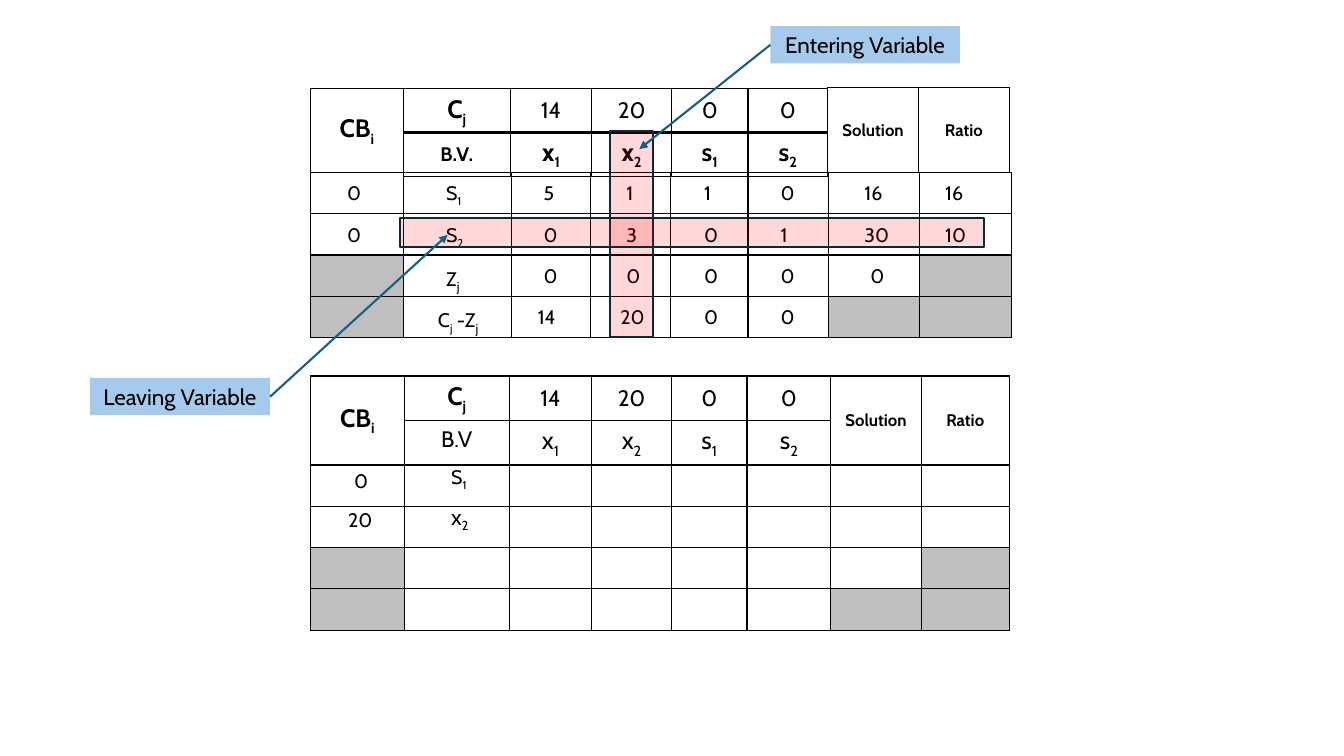
"""Build a slide with two simplex tableaus and their pivot labels."""
from dataclasses import dataclass
from lxml.etree import SubElement
from pptx import Presentation
from pptx.dml.color import RGBColor as Rgb
from pptx.enum.shapes import MSO_CONNECTOR as Line, MSO_SHAPE as Shape
from pptx.enum.text import MSO_ANCHOR as Anchor, PP_ALIGN as Align
from pptx.oxml.ns import qn
from pptx.util import Inches, Pt


@dataclass(frozen=True)
class Theme:
    font: str = "Cabin"
    ink: str = "000000"
    gray: str = "BFBFBF"
    sky: str = "A6CAEC"
    red: str = "FF0000"
    edge: str = "092A39"
    arrow: str = "156082"
    head: int = 18
    mid: int = 16
    body: int = 14
    small: int = 12
    rule: float = 1
    heavy: float = 1.5


@dataclass(frozen=True)
class Cell:
    text: str
    size: int
    bold: bool = False
    anchor: Anchor = Anchor.MIDDLE


class Board:
    def __init__(self, slide, theme):
        self.slide = slide
        self.theme = theme

    def letter(self, frame, text, size, bold=False, align=Align.LEFT, low=None):
        para = frame.paragraphs[0]
        para.alignment = align
        font = para.font
        font.name, font.size, font.bold = self.theme.font, Pt(size), bold
        font.color.rgb = Rgb.from_string(self.theme.ink)
        base, *tails = text.split("_")
        para.add_run().text = base
        for tail in tails:
            sub = para.add_run()
            sub.text = tail[0]
            sub._r.get_or_add_rPr().set("baseline", "-25000")
            if tail[1:]:
                para.add_run().text = tail[1:]
        if low:
            sub.font.size = Pt(low)

    def text(self, left, top, width, text, size, low=None):
        box = self.slide.shapes.add_textbox(
            Inches(left), Inches(top), Inches(width), Inches(0.34))
        box.text_frame.word_wrap = True
        self.letter(box.text_frame, text, size, low=low)

    def value(self, mid, top, text, size, low=None):
        count = len(text.replace("_", ""))
        width = {1: 0.37, 2: 0.49}.get(count, 0.65)
        self.text(mid - width / 2, top, width, text, size, low)

    def border(self, cell):
        props = cell._tc.get_or_add_tcPr()
        for side in ("lnL", "lnR", "lnT", "lnB"):
            line = SubElement(props, qn(f"a:{side}"), w=str(Pt(self.theme.rule)))
            fill = SubElement(line, qn("a:solidFill"))
            SubElement(fill, qn("a:srgbClr"), val=self.theme.ink)

    def table(self, left, top, cols, rows, cells=(), gray=(), spans=()):
        table = self.slide.shapes.add_table(
            len(rows), len(cols), Inches(left), Inches(top),
            Inches(sum(cols)), Inches(sum(rows))).table
        table.first_row = table.horz_banding = False
        for col, width in zip(table.columns, cols):
            col.width = Inches(width)
        for row, height in zip(table.rows, rows):
            row.height = Inches(height)
        for r in range(len(rows)):
            for c in range(len(cols)):
                cell = table.cell(r, c)
                self.border(cell)
                if (r, c) in gray:
                    cell.fill.solid()
                    cell.fill.fore_color.rgb = Rgb.from_string(self.theme.gray)
                else:
                    cell.fill.background()
        for c in spans:
            table.cell(0, c).merge(table.cell(1, c))
        for r, line in enumerate(cells):
            for c, item in enumerate(line):
                if item:
                    cell = table.cell(r, c)
                    cell.vertical_anchor = item.anchor
                    self.letter(cell.text_frame, item.text, item.size,
                                item.bold, Align.CENTER)

    def rect(self, left, top, width, height, color):
        box = self.slide.shapes.add_shape(
            Shape.RECTANGLE, Inches(left), Inches(top), Inches(width), Inches(height))
        box.shadow.inherit = False
        box.fill.solid()
        box.fill.fore_color.rgb = Rgb.from_string(color)
        return box

    def band(self, left, top, width, height):
        box = self.rect(left, top, width, height, self.theme.red)
        color = box._element.spPr.find(".//" + qn("a:srgbClr"))
        SubElement(color, qn("a:alpha"), val="15000")
        box.line.color.rgb = Rgb.from_string(self.theme.edge)
        box.line.width = Pt(self.theme.heavy)

    def label(self, left, top, width, text):
        box = self.rect(left, top, width, 0.37, self.theme.sky)
        box.line.fill.background()
        box.text_frame.word_wrap = True
        self.letter(box.text_frame, text, self.theme.mid, align=Align.CENTER)
        return box

    def arrow(self, box, site, left, top):
        link = self.slide.shapes.add_connector(
            Line.STRAIGHT, 0, 0, Inches(left), Inches(top))
        link.begin_connect(box, site)
        link.line.color.rgb = Rgb.from_string(self.theme.arrow)
        link.line.width = Pt(self.theme.heavy)
        props = link._element.spPr
        SubElement(props.find(qn("a:ln")), qn("a:tailEnd"), type="triangle")
        SubElement(props, qn("a:effectLst"))


def main():
    deck = Presentation()
    deck.slide_width, deck.slide_height = Inches(13.33), Inches(7.5)
    theme = Theme()
    board = Board(deck.slides.add_slide(deck.slide_layouts[6]), theme)

    row = 0.41
    names = ["x_1", "x_2", "s_1", "s_2"]
    basis = Cell("CB_i", theme.head, True)
    costs = [Cell("C_j", theme.head, True)]
    costs += [Cell(cost, theme.mid) for cost in ("14", "20", "0", "0")]
    ends = [Cell(word, theme.small, True) for word in ("Solution", "Ratio")]
    heads = [Cell("B.V.", theme.body, True)]
    heads += [Cell(name, theme.head, True) for name in names]
    plain = [Cell("B.V", theme.mid, anchor=Anchor.TOP)]
    plain += [Cell(name, theme.head) for name in names]

    def shade(top):
        return {(top, 0), (top, 7), (top + 1, 0), (top + 1, 6), (top + 1, 7)}

    inner = [1.06, 0.81, 0.79, 0.76, 0.79]
    board.table(4, 1.31, inner, [row], [heads])
    board.table(4, 0.88, inner, [row], [costs])
    board.table(3.08, 0.88, [0.92], [0.83], [[basis]])
    board.table(8.21, 0.87, [0.9, 0.9], [0.84], [ends])
    board.table(3.08, 1.71, [0.92, 1.07, 0.79, 0.79, 0.77, 0.8, 0.9, 0.91],
                [row] * 4, gray=shade(2))

    mids = [3.53, 4.57, 5.48, 6.3, 7.07, 7.83, 8.72, 9.52]
    values = [
        ["0", "S_1", "5", "1", "1", "0", "16", "16"],
        ["0", "S_2", "0", "3", "0", "1", "30", "10"],
        ["", "Z_j", "0", "0", "0", "0", "0", ""],
        ["", "C_j -Z_j", "14", "20", "0", "0", "", ""],
    ]
    for r, line in enumerate(values):
        for mid, text in zip(mids, line):
            if text:
                low = theme.mid if "Z_j" in text else None
                board.value(mid, 1.75 + r * row, text, theme.body, low)
    board.band(6.05, 1.3, 0.43, 2.04)
    board.band(3.97, 2.16, 5.79, 0.29)

    board.table(3.08, 3.73, [0.93, 1.04, 0.82, 0.79, 0.75, 0.83, 0.9, 0.87],
                [row] * 6, [[basis, *costs, *ends], [None, *plain]],
                shade(4), (0, 6, 7))
    for mid, top, text, size in (
            (4.62, 4.94, "x_2", theme.mid), (3.6, 4.99, "20", theme.body),
            (4.62, 4.56, "S_1", theme.body), (3.6, 4.6, "0", theme.body)):
        board.value(mid, top, text, size)

    leave = board.label(0.89, 3.75, 1.79, "Leaving Variable")
    enter = board.label(7.64, 0.26, 1.88, "Entering Variable")
    board.arrow(enter, 1, 6.34, 1.48)
    board.arrow(leave, 3, 4.44, 2.33)
    deck.save("out.pptx")


if __name__ == "__main__":
    main()
